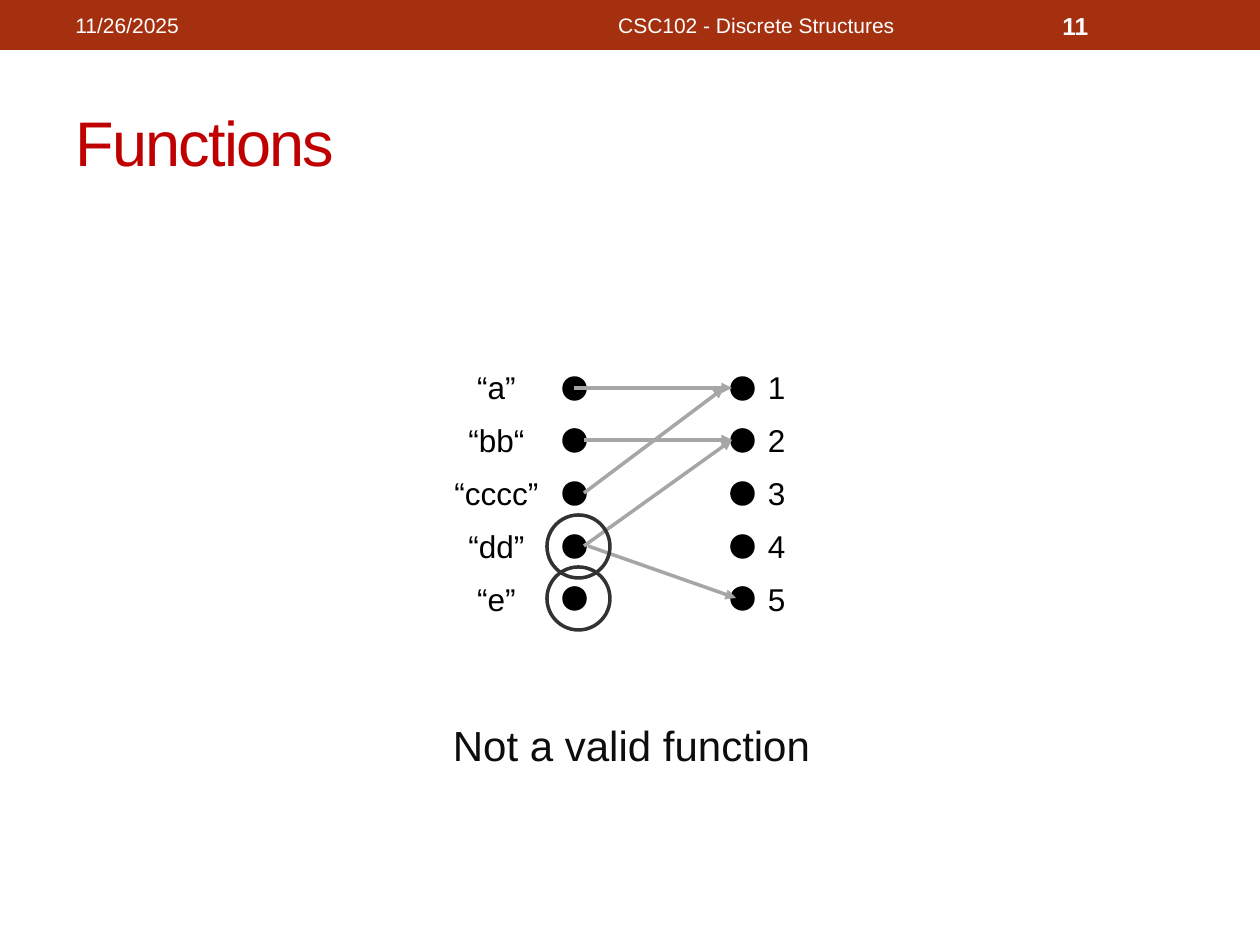
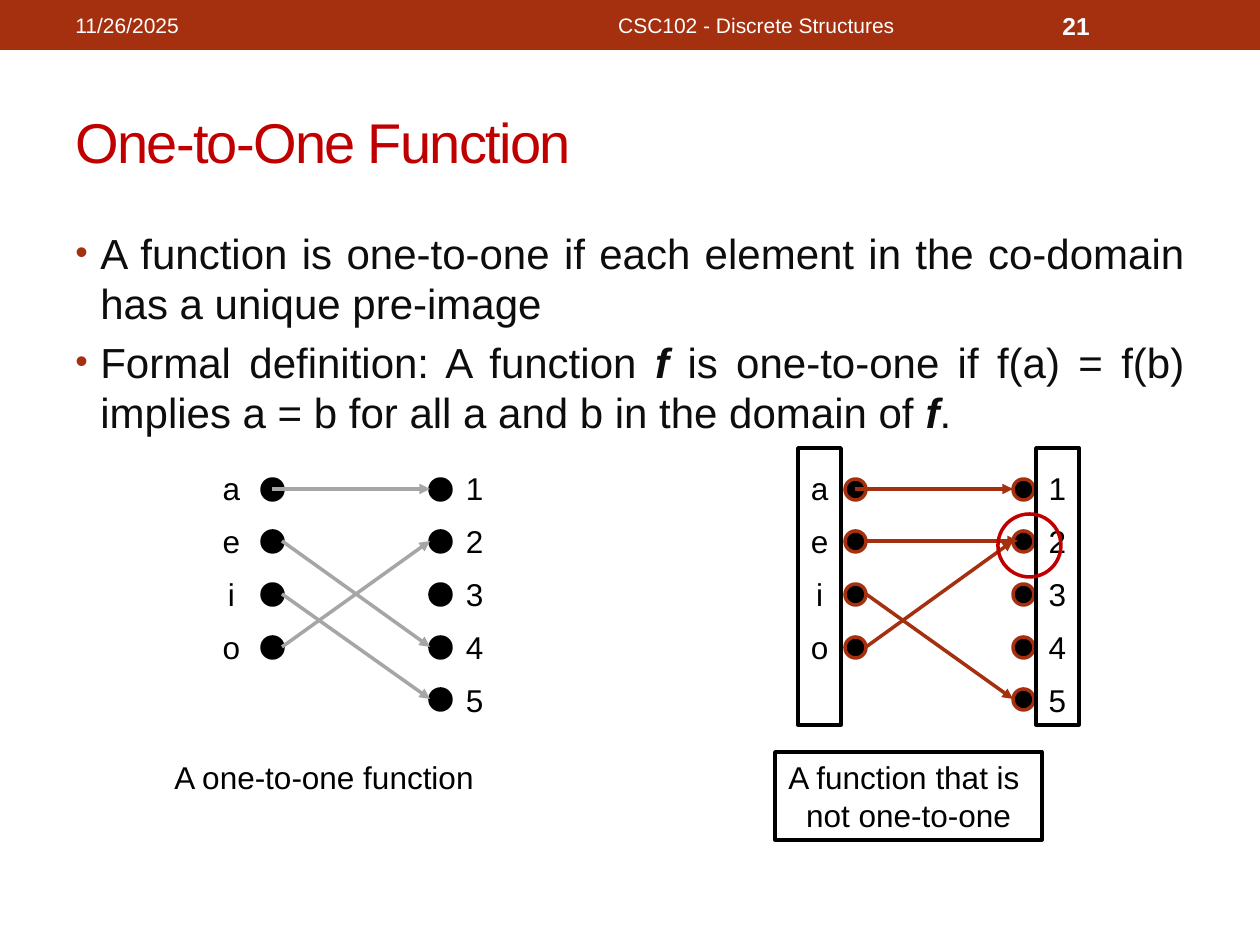
from lxml import etree
from pptx import Presentation
from pptx.dml.color import RGBColor
from pptx.enum import shapes, text
from pptx.oxml.ns import qn
from pptx import util as u

PX_PER_INCH = 126
BRICK, RED, INK = "A5300F", "C00000", "0D0D0D"
BLACK, WHITE, GREY, CHARCOAL = "000000", "FFFFFF", "A6A6A6", "323232"
DOT, COLUMN_GAP, ROW_STEP = 21, 168, 52.5
LABEL_RISE, LABEL_HEIGHT, LABEL_WIDTH = 31, 277, 43
HALO = 63
NUMBERS = ["1", "2", "3", "4", "5"]
VOWELS = ["a", "e", "i", "o"]
CENTER = text.PP_ALIGN.CENTER


def px(length):
    return u.Emu(round(length * u.Inches(1) / PX_PER_INCH))


def color(value):
    return RGBColor.from_string(value)


def apply(target, values):
    for name, value in values.items():
        setattr(target, name, value)


def add_child(parent, tag, **attributes):
    return etree.SubElement(parent, qn(tag), attributes)


def row_offset(row):
    return round(ROW_STEP * row)


def add_outline(shape, line):
    shape.line.color.rgb = color(line)
    shape.line.width = u.Pt(2)


def add_plain_shape(canvas, kind, box, fill=None, line=None):
    shape = canvas.add_shape(kind, *map(px, box))
    shape.shadow.inherit = False
    if fill:
        shape.fill.solid()
        shape.fill.fore_color.rgb = color(fill)
    else:
        shape.fill.background()
    if line:
        add_outline(shape, line)
    else:
        shape.line.fill.background()
    return shape


def add_span(para, words, size, ink, **font):
    span = para.add_run()
    span.text = words
    apply(span.font, {"name": "Arial", "size": u.Pt(size), **font})
    span.font.color.rgb = color(ink)
    return span


def add_text(canvas, box, lines, size, ink, para_format=None, wrap=True,
             anchor=text.MSO_ANCHOR.TOP, border=None, **font):
    if border:
        holder = add_plain_shape(canvas, shapes.MSO_SHAPE.RECTANGLE, box, line=border)
    else:
        holder = canvas.add_textbox(*map(px, box))
    frame = holder.text_frame
    apply(frame, {"word_wrap": wrap, "vertical_anchor": anchor})
    for index, words in enumerate(lines):
        para = frame.add_paragraph() if index else frame.paragraphs[0]
        apply(para, para_format or {})
        add_span(para, words, size, ink, **font)
    return holder


def add_arrow(canvas, start, end, line):
    arrow = canvas.add_connector(shapes.MSO_CONNECTOR.STRAIGHT, *map(px, start + end))
    add_outline(arrow, line)
    properties = arrow._element.spPr
    add_child(properties.find(qn("a:ln")), "a:tailEnd", type="triangle")
    add_child(properties, "a:effectLst")


def add_header(page, number):
    canvas = page.shapes
    add_plain_shape(canvas, shapes.MSO_SHAPE.RECTANGLE, (0, 0, 1260, 50), BRICK)
    middle = text.MSO_ANCHOR.MIDDLE
    add_text(canvas, (63, 3, 399, 45), ["11/26/2025"], 12, WHITE, anchor=middle)
    add_text(canvas, (473, 3, 567, 45), ["CSC102 - Discrete Structures"], 12, WHITE,
             {"alignment": CENTER}, anchor=middle)
    add_text(canvas, (1050, 3, 147, 45), [number], 14, WHITE, anchor=middle, bold=True)


def add_title(page, words, size):
    title = add_text(page.shapes, (63, 73, 1134, 136), [words], size, RED,
                     anchor=text.MSO_ANCHOR.MIDDLE)
    span = title.text_frame.paragraphs[0].runs[0]
    span.font._element.set("spc", "-100")


def add_bullets(page, box, items):
    frame = page.shapes.add_textbox(*map(px, box)).text_frame
    frame.word_wrap = True
    for index, spans in enumerate(items):
        para = frame.add_paragraph() if index else frame.paragraphs[0]
        properties = para._p.get_or_add_pPr()
        apply_indent = {"marL": str(px(25)), "indent": str(-px(25))}
        properties.attrib.update(apply_indent)
        add_child(add_child(properties, "a:buClr"), "a:srgbClr", val=BRICK)
        add_child(properties, "a:buSzPct", val="85000")
        add_child(properties, "a:buFont", typeface="Arial")
        add_child(properties, "a:buChar", char="•")
        para.alignment = text.PP_ALIGN.JUSTIFY
        if index:
            para.space_before = u.Pt(4.8)
        for words, strong in spans:
            add_span(para, words, 24, INK, bold=strong, italic=strong)


def add_mapping(page, left, top, domain, domain_box, arrows, dot_line=BLACK,
                arrow_line=GREY, border=None):
    canvas = page.shapes.add_group_shape().shapes
    for column, labels in enumerate((domain, NUMBERS)):
        for row in range(len(labels)):
            box = (left + column * COLUMN_GAP, top + row_offset(row), DOT, DOT)
            add_plain_shape(canvas, shapes.MSO_SHAPE.OVAL, box, BLACK, dot_line)
    for source, target, start, end in arrows:
        add_arrow(canvas,
                  (left + start, top + 10 + row_offset(source)),
                  (left + end, top + 10 + row_offset(target)), arrow_line)
    label_format = {"alignment": CENTER, "line_spacing": 1.4}
    columns = ((domain, *domain_box), (NUMBERS, 191, LABEL_WIDTH))
    for labels, offset, width in columns:
        box = (left + offset, top - LABEL_RISE, width, LABEL_HEIGHT)
        add_text(canvas, box, labels, 18, BLACK, label_format, wrap=False, border=border)
    return canvas


def add_caption(canvas, box, lines, size=18, ink=BLACK, border=None):
    add_text(canvas, box, lines, size, ink, {"alignment": CENTER}, wrap=False, border=border)


def add_halo(page, left, top, line):
    add_plain_shape(page.shapes, shapes.MSO_SHAPE.OVAL, (left, top, HALO, HALO), line=line)


def build_invalid_function(page):
    add_title(page, "Functions", 36)
    left, top = 564, 378
    add_mapping(page, left, top, ["“a”", "“bb“", "“cccc”", "“dd”", "“e”"], (-123, 111),
                [(0, 0, 10, 168), (1, 1, 20, 168), (3, 1, 20, 168),
                 (2, 0, 20, 160), (3, 4, 24, 172)])
    add_caption(page.shapes, (438, 713, 387, 63), ["Not a valid function"], 24, INK)
    for row in (3, 4):
        add_halo(page, left - 17, top - 21 + row_offset(row), CHARCOAL)


def build_one_to_one(page):
    add_title(page, "One-to-One Function", 32)
    add_bullets(page, (63, 221, 1134, 672), [
        [("A function is one-to-one if each element in the co-domain "
          "has a unique pre-image", False)],
        [("Formal definition: A function", False), (" f ", True),
         ("is one-to-one if f(a) = f(b) implies a = b for all a and b "
          "in the domain of ", False), ("f", True), (".", False)],
    ])
    top = 479
    injective = add_mapping(page, 262, top, VOWELS, (-52, LABEL_WIDTH),
                            [(0, 0, 10, 168), (1, 3, 20, 168),
                             (3, 1, 20, 168), (2, 4, 20, 168)])
    add_caption(injective, (161, 752, 326, 50), ["A one-to-one function"])
    left = 845
    shared = add_mapping(page, left, top, VOWELS, (-47, LABEL_WIDTH),
                         [(0, 0, 10, 168), (1, 1, 21, 173),
                          (3, 1, 21, 168), (2, 4, 21, 168)],
                         BRICK, BRICK, BLACK)
    add_caption(shared, (775, 752, 267, 88), ["A function that is ", "not one-to-one"],
                border=BLACK)
    add_halo(page, left + COLUMN_GAP - 15, top - 17 + row_offset(1), RED)


def main():
    deck = Presentation()
    apply(deck, {"slide_width": px(1260), "slide_height": px(945)})
    for build, number in ((build_invalid_function, "11"), (build_one_to_one, "21")):
        page = deck.slides.add_slide(deck.slide_layouts[6])
        add_header(page, number)
        build(page)
    deck.save("out.pptx")


if __name__ == "__main__":
    main()
